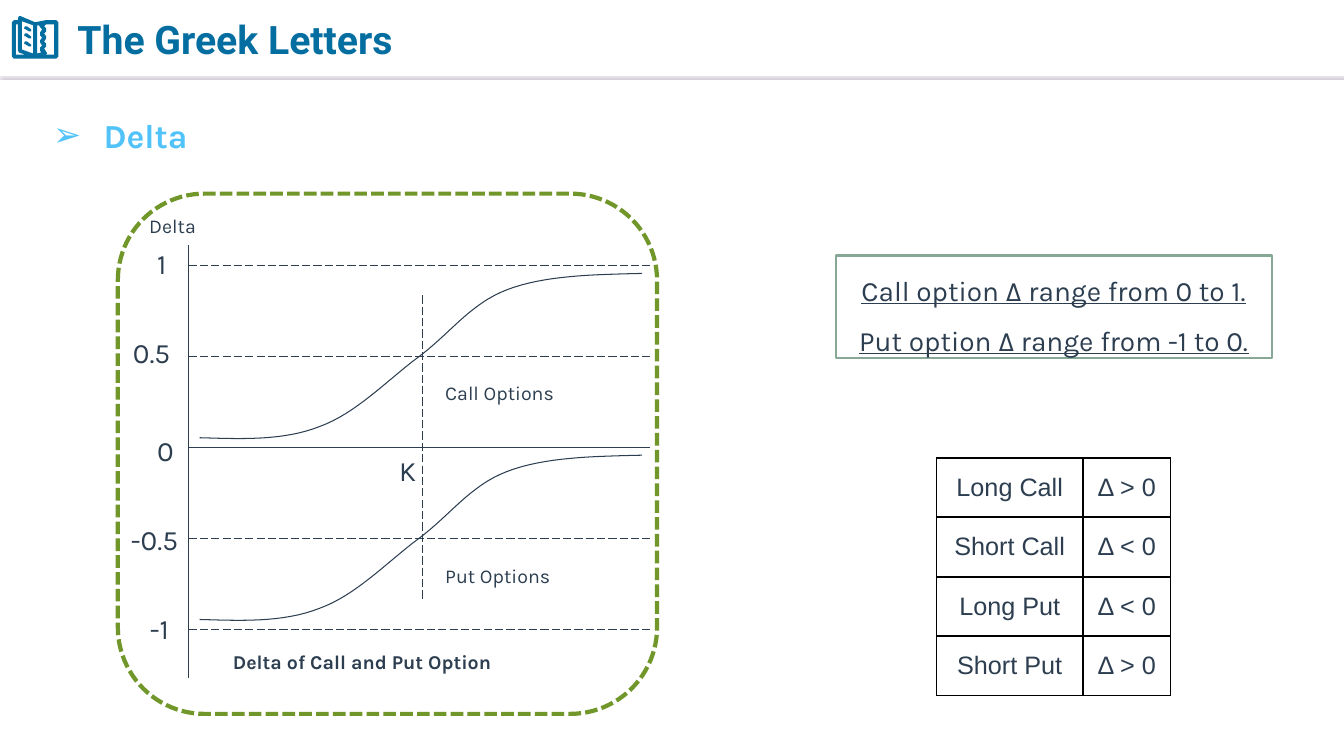
import pptx
import pptx.util
import pptx.dml.color
import pptx.enum.dml
import pptx.enum.shapes
import pptx.enum.text
import pptx.oxml
import pptx.oxml.ns
import lxml.etree
from pptx.util import Cm, Pt

INK, BLUE, SKY, GREEN, SAGE = "2C3E50", "056EA0", "51C3F9", "719629", "87A896"
ALIGN = pptx.enum.text.PP_ALIGN
MIDDLE = pptx.enum.text.MSO_ANCHOR.MIDDLE
SHAPE = pptx.enum.shapes.MSO_SHAPE
DASH = pptx.enum.dml.MSO_LINE


def paint(color_format, hex_color):
    color_format.rgb = pptx.dml.color.RGBColor.from_string(hex_color)


def child(parent, tag, **attributes):
    element = lxml.etree.SubElement(parent, pptx.oxml.ns.qn(tag))
    for key, value in attributes.items():
        element.set(key, str(value))
    return element


def stroke(line, hex_color, width, dash=None):
    paint(line.color, hex_color)
    line.width = Pt(width)
    if dash:
        line.dash_style = dash


def write(frame, lines, size, hex_color, font="Karla", align=ALIGN.LEFT,
          bold=False, underline=False, spacing=1.0, inset=0.1):
    frame.margin_left = frame.margin_right = Cm(inset)
    frame.margin_top = frame.margin_bottom = Cm(inset)
    frame.text = lines
    for paragraph in frame.paragraphs:
        paragraph.alignment = align
        paragraph.line_spacing = spacing
        for run in paragraph.runs:
            run.font.name, run.font.size = font, Pt(size)
            run.font.bold, run.font.underline = bold, underline
            paint(run.font.color, hex_color)


def rule(shapes, x1, y1, x2, y2, hex_color=INK, dash=None):
    line = shapes.add_connector(pptx.enum.shapes.MSO_CONNECTOR.STRAIGHT,
                                Cm(x1), Cm(y1), Cm(x2), Cm(y2))
    stroke(line.line, hex_color, 0.75, dash)
    return child(line._element.spPr, "a:effectLst")


def frame_box(shapes, preset, left, top, width, height, hex_color, weight, dash=None):
    box = shapes.add_shape(preset, Cm(left), Cm(top), Cm(width), Cm(height))
    box.shadow.inherit = False
    box.fill.background()
    stroke(box.line, hex_color, weight, dash)
    return box


def book_icon(shapes, left, top, width):
    outlines = [
        [(9, 0), (23, 6), (33, 4), (44, 4), (46, 6), (46, 40), (44, 42), (2, 42),
         (0, 40), (0, 6), (2, 4), (6, 4), (6, 2), (7, 0)],
        [(10, 5), (10, 33), (21, 37), (21, 9)],
        [(4, 8), (4, 38), (13, 38), (7, 36), (6, 34), (6, 8)],
        [(42, 8), (34, 8), (32, 10), (34, 12), (34, 15), (32, 17), (34, 20), (34, 22),
         (32, 25), (34, 27), (34, 30), (32, 32), (34, 35), (35, 37), (33, 38), (42, 38)],
        [(27, 9), (25, 9), (25, 37), (29, 36), (28, 34), (28, 31), (30, 29), (28, 26),
         (28, 24), (30, 21), (28, 19), (28, 16), (30, 13), (28, 11)],
    ]
    outlines += [[(13, y), (15, y), (19, y + 3), (19, y + 5), (17, y + 5), (12, y + 2)]
                 for y in (10, 17, 25)]
    builder = shapes.build_freeform(*outlines[0][0], scale=Cm(width) / 46)
    for outline in outlines:
        builder.move_to(*outline[0])
        builder.add_line_segments(outline[1:], close=True)
    book = builder.convert_to_shape(Cm(left), Cm(top))
    book.shadow.inherit = False
    book.fill.solid()
    paint(book.fill.fore_color, BLUE)
    book.line.fill.background()


def header(slide, left, top, width, height):
    # Divider with its soft shadow below
    effects = rule(slide.shapes, left, top + height, left + width, top + height, "FFFFFF")
    shadow = child(effects, "a:outerShdw", blurRad=Pt(1), dist=Pt(3), dir=5400000,
                   algn="t", rotWithShape=0)
    child(shadow, "a:srgbClr", val="BCB4C4")
    book_icon(slide.shapes, left + 0.3, top + 0.41, 1.17)
    title = slide.shapes.title
    title.left, title.top = Cm(left + 1.7), Cm(top + 0.18)
    title.width, title.height = Cm(18.7), Cm(1.6)
    write(title.text_frame, "The Greek Letters", 28, BLUE, "Roboto", bold=True, inset=0.25)
    title.text_frame.vertical_anchor = MIDDLE


def heading(slide, left, top, width, height):
    box = slide.shapes.add_textbox(Cm(left), Cm(top), Cm(width), Cm(height))
    box.text_frame.word_wrap = True
    write(box.text_frame, "Delta", 24, SKY, bold=True, spacing=1.5, inset=0.25)
    box.text_frame.margin_top = Cm(0.13)
    properties = box.text_frame.paragraphs[0]._p.get_or_add_pPr()
    properties.set("marL", str(Cm(1.27)))
    properties.set("indent", str(-Cm(1.27)))
    child(properties, "a:buFont", typeface="Arial")
    child(properties, "a:buChar", char="\u27a2")


def bezier_points(controls, steps=16):
    points = [controls[0]]
    for start in range(0, len(controls) - 1, 3):
        a, b, c, d = controls[start:start + 4]
        for step in range(1, steps + 1):
            t = step / steps
            u = 1 - t
            points.append(tuple(u**3 * p + 3 * u * u * t * q + 3 * u * t * t * r + t**3 * s
                                for p, q, r, s in zip(a, b, c, d)))
    return points


def delta_plot(slide, left, top, width, height):
    shapes = slide.shapes.add_group_shape().shapes
    zero, unit = top + 6.4, 4.58
    axis, right, strike = left + 1.78, left + 13.41, left + 7.67

    # Axes, level lines and strike line
    rule(shapes, axis, top + 1.29, axis, top + 12.21)
    for level in (1, 0.5, 0, -0.5, -1):
        y = zero - level * unit
        rule(shapes, axis, y, right, y, dash=DASH.LONG_DASH if level else None)
    rule(shapes, strike, top + 2.56, strike, top + 10.21, dash=DASH.LONG_DASH)

    # The put curve is the call curve lowered by one
    call = [(2.06, 6.15), (3.1, 6.18), (4.17, 6.23), (5.08, 5.87), (6, 5.54), (6.78, 4.71),
            (7.57, 4.12), (8.36, 3.54), (8.87, 2.78), (9.81, 2.42), (10.75, 2.06),
            (11.97, 2.04), (13.21, 2.01)]
    for drop in (0, unit):
        points = [(Cm(left + x), Cm(top + y + drop)) for x, y in bezier_points(call)]
        builder = shapes.build_freeform(*points[0])
        builder.add_line_segments(points[1:], close=False)
        curve = builder.convert_to_shape()
        curve.shadow.inherit = False
        curve.fill.background()
        stroke(curve.line, INK, 0.75)

    # Labels: text, left, top, width, size
    labels = [
        ("Delta", 0.69, 0.23, 3.8, 14), ("1", 0.89, 1.18, 0.7, 20),
        ("0.5", 0.28, 3.43, 1.4, 20), ("0", 0.89, 5.89, 0.8, 20),
        ("-0.5", 0.23, 8.13, 1.7, 20), ("-1", 0.71, 10.39, 1, 20),
        ("K", 6.99, 6.4, 0.75, 20), ("Call Options", 8.15, 4.45, 3.9, 14),
        ("Put Options", 8.15, 9.05, 3.9, 14),
        ("Delta of Call and Put Option", 2.8, 11.23, 9.8, 14),
    ]
    for text, x, y, label_width, size in labels:
        label = shapes.add_textbox(Cm(left + x), Cm(top + y), Cm(label_width), Cm(1.14))
        label.text_frame.word_wrap = False
        label.text_frame.vertical_anchor = MIDDLE
        write(label.text_frame, text, size, INK, bold=text.startswith("Delta of"))

    frame_box(shapes, SHAPE.ROUNDED_RECTANGLE, left, top, width, height, GREEN, 3,
              DASH.SQUARE_DOT)


def range_note(slide, left, top, width, height):
    note = frame_box(slide.shapes, SHAPE.RECTANGLE, left, top, width, height, SAGE, 1.5)
    note.text_frame.word_wrap = True
    note.text_frame.vertical_anchor = MIDDLE
    write(note.text_frame, "Call option Δ range from 0 to 1.\nPut option Δ range from -1 to 0.",
          20, INK, align=ALIGN.CENTER, underline=True, spacing=1.5)


def sign_table(slide, left, top, width, height):
    signs = [("Long Call", "Δ > 0"), ("Short Call", "Δ < 0"),
             ("Long Put", "Δ < 0"), ("Short Put", "Δ > 0")]
    last = len(signs) - 1
    table = slide.shapes.add_table(len(signs), 2, Cm(left), Cm(top), Cm(width), Cm(height)).table
    table.first_row = table.horz_banding = False
    table.columns[0].width, table.columns[1].width = Cm(3.69), Cm(width - 3.69)
    for r, row in enumerate(signs):
        for c, text in enumerate(row):
            cell = table.cell(r, c)
            write(cell.text_frame, text, 18, INK, "Arial", ALIGN.CENTER)
            cell.margin_left = cell.margin_right = Cm(0.1)
            cell.margin_top = cell.margin_bottom = Cm(0.1)
            cell.vertical_anchor = MIDDLE
            properties = cell._tc.get_or_add_tcPr()
            # Thin outer edges, heavier inner ones
            edges = {"a:lnL": c == 0, "a:lnR": c == 1, "a:lnT": r == 0, "a:lnB": r == last}
            for tag, outer in edges.items():
                edge = child(properties, tag, w=Pt(1 if outer else 1.5))
                child(child(edge, "a:solidFill"), "a:srgbClr", val="000000")
            cell.fill.background()


presentation = pptx.Presentation()
presentation.slide_width, presentation.slide_height = Cm(33.87), Cm(19.05)
greeks = presentation.slides.add_slide(presentation.slide_layouts[5])
header(greeks, 0, 0, 33.87, 1.86)
heading(greeks, 1.09, 2.26, 31.67, 2)
sign_table(greeks, 23.6, 11.54, 5.9, 5.98)
range_note(greeks, 21.06, 6.44, 11, 2.59)
delta_plot(greeks, 2.97, 4.88, 13.59, 13.11)
presentation.save("out.pptx")
